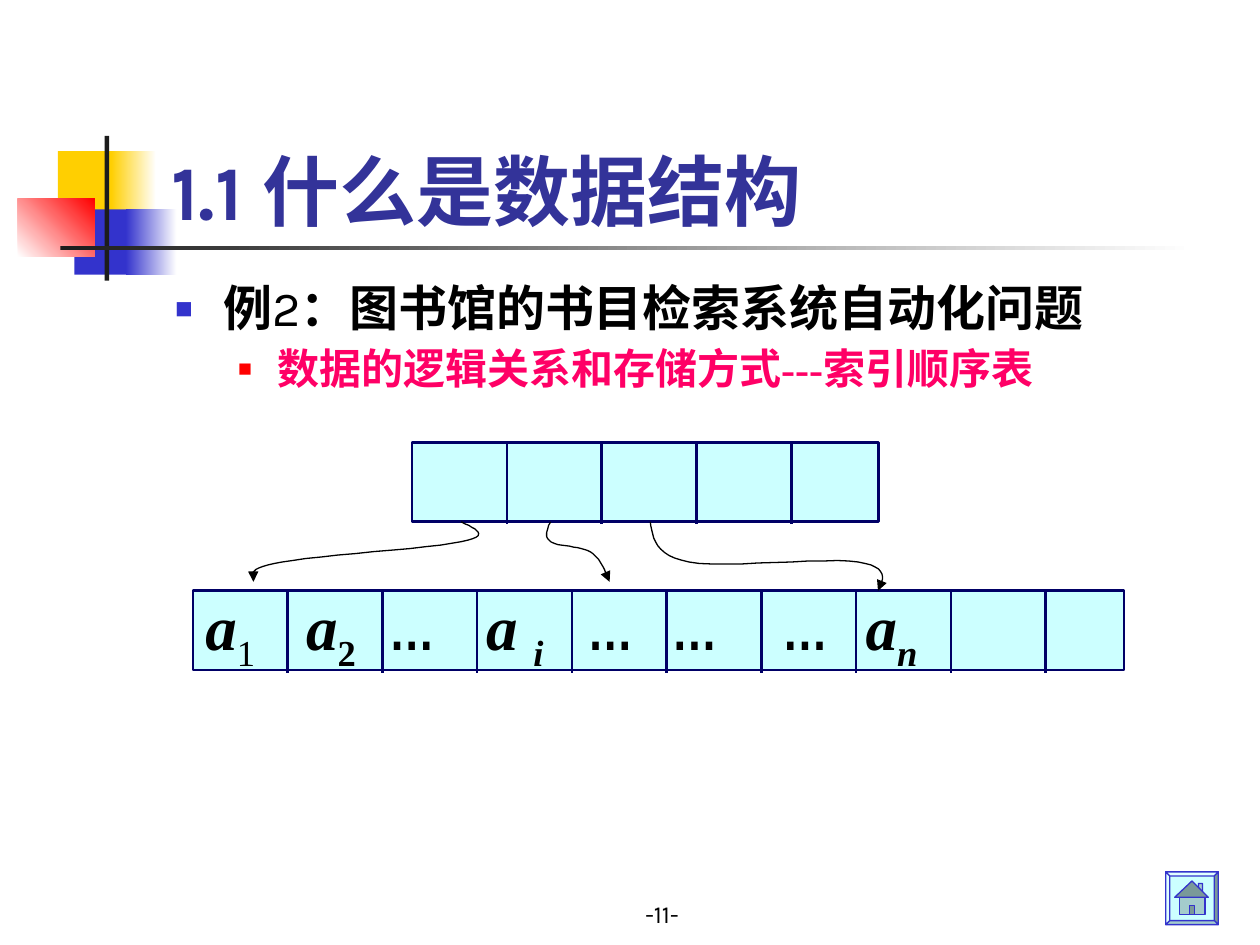
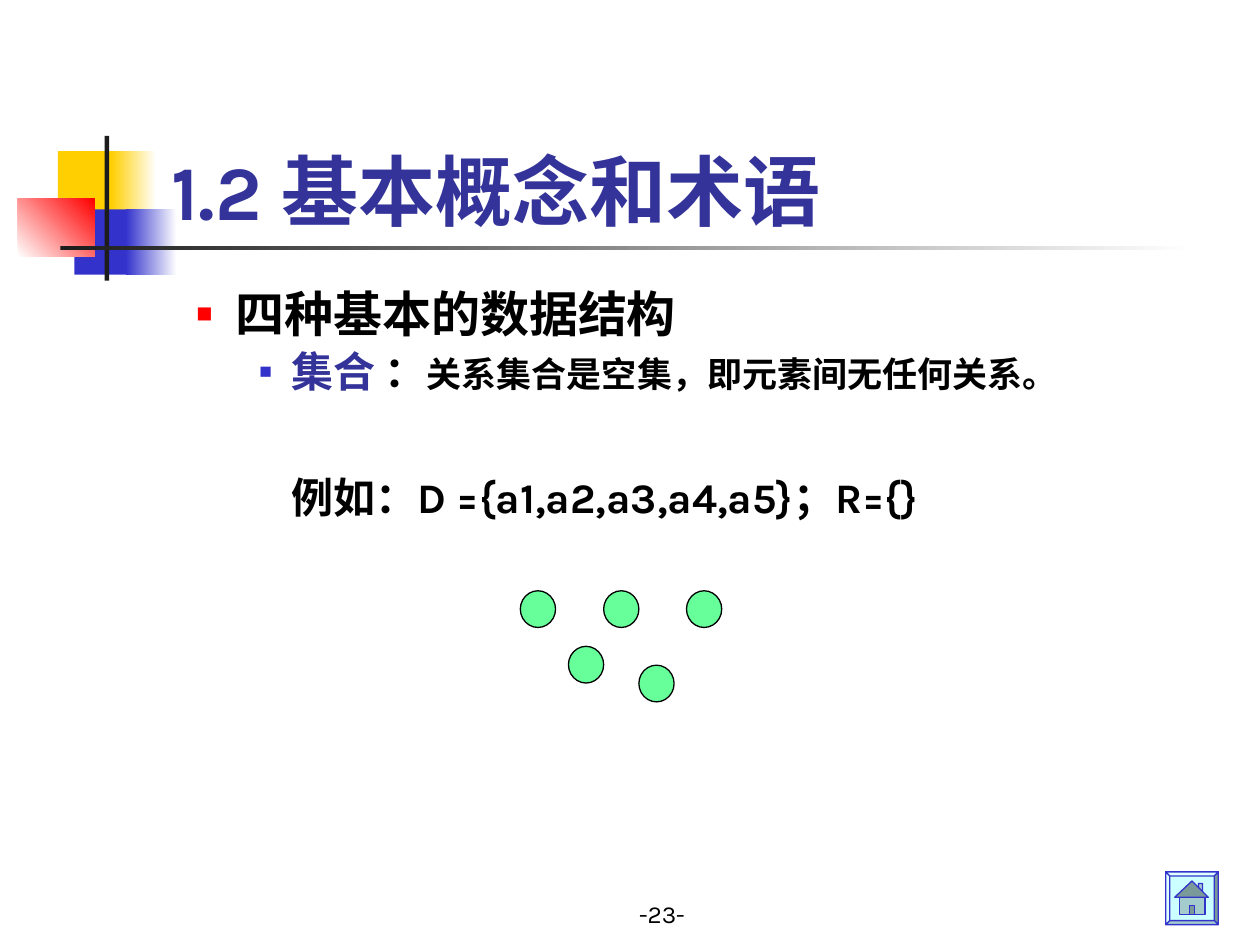
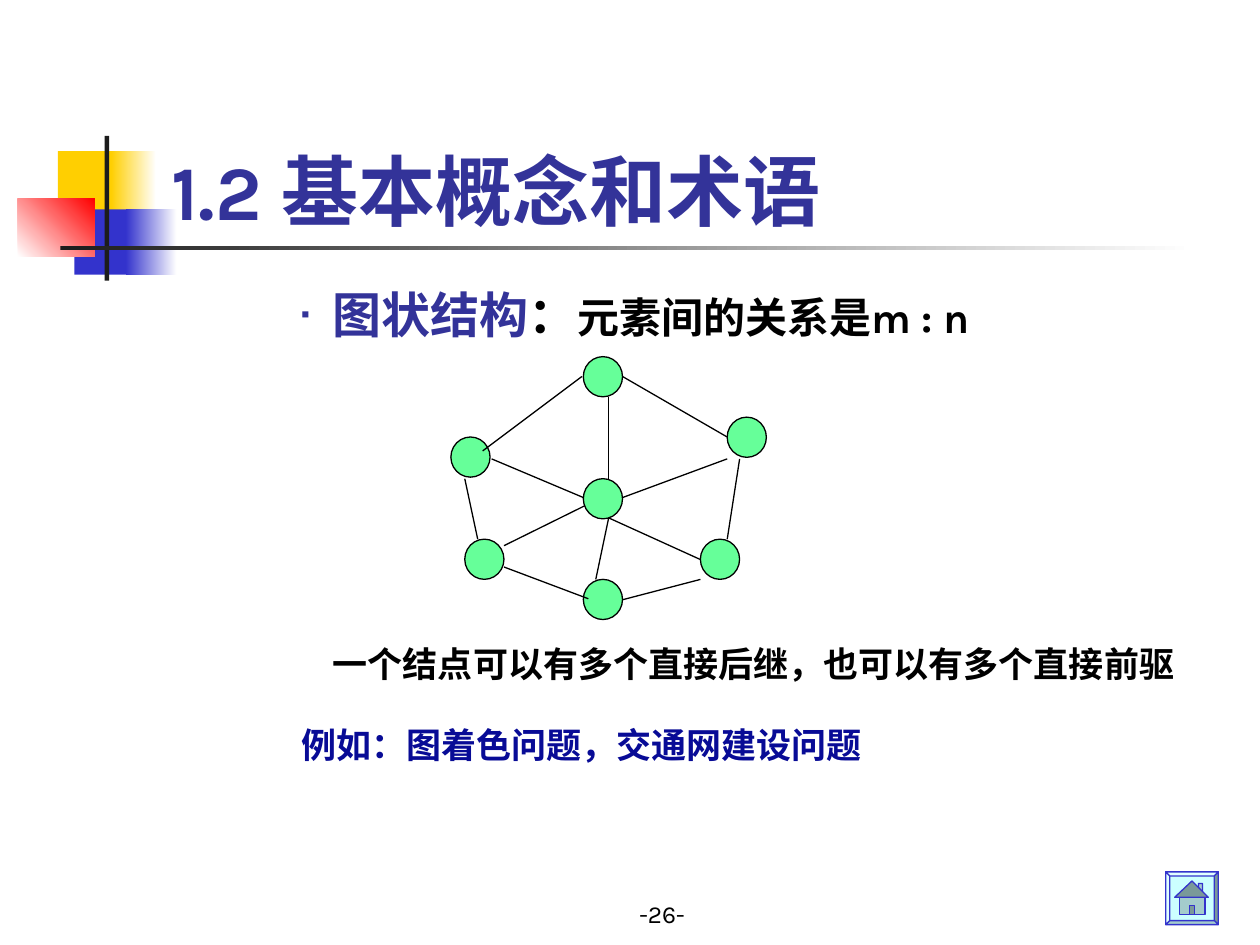
"""Build three lecture slides on data structures."""
from lxml import etree
from pptx import Presentation
from pptx import util as u
from pptx.dml.color import RGBColor
from pptx.enum import shapes, text
from pptx.oxml.ns import qn

Cm, Pt = u.Cm, u.Pt
RECT, OVAL = shapes.MSO_SHAPE.RECTANGLE, shapes.MSO_SHAPE.OVAL
LINE = shapes.MSO_CONNECTOR.STRAIGHT
HUE = {
    "white": "FFFFFF", "black": "000000", "coal": "1C1C1C", "gold": "FFCF01",
    "blue": "3333CC", "red": "FF0000", "title": "333399", "pink": "FF0066",
    "navy": "000066", "ink": "080B96", "aqua": "CCFFFF", "green": "66FF99",
    "pale": "E0FFFF", "dim": "A4CCCC", "dark": "7A9999",
}
HUE = {name: RGBColor.from_string(code) for name, code in HUE.items()}
SERIF, NARROW = "Times New Roman", "Arial Narrow"


def write(par, words, size=24, hue="black", font="Karla", bold=True, slant=False, sub=False):
    run = par.add_run()
    run.text = words
    run.font.size, run.font.name = Pt(size), font
    run.font.bold, run.font.italic = bold, slant
    run.font.color.rgb = HUE[hue]
    if sub:
        run._r.get_or_add_rPr().set("baseline", "-25000")


def paint(shape, fill=None, edge=None, width=0.74, tilt=0, arrow=False):
    if isinstance(fill, tuple):
        shape.fill.gradient()
        shape.fill.gradient_angle = tilt
        for stop, hue in zip(shape.fill.gradient_stops, fill):
            stop.color.rgb = HUE[hue]
    elif fill:
        shape.fill.solid()
        shape.fill.fore_color.rgb = HUE[fill]
    elif hasattr(shape, "fill"):
        shape.fill.background()
    if edge:
        shape.line.color.rgb = HUE[edge]
        shape.line.width = Pt(width)
    else:
        shape.line.fill.background()
    if arrow:
        etree.SubElement(shape.line._get_or_add_ln(), qn("a:tailEnd"), type="triangle")
    etree.SubElement(shape._element.spPr, qn("a:effectLst"))


blocks = [
    (1.17, 3.05, 1.22, 1.32, "gold", 0),
    (2.24, 3.05, 0.91, 1.32, ("gold", "white"), 0),
    (1.5, 4.22, 1.17, 1.32, "blue", 0),
    (2.54, 4.22, 1.02, 1.32, ("blue", "white"), 0),
    (0.36, 4.01, 1.55, 1.17, ("white", "red"), 45),
    (2.11, 2.74, 0.09, 2.92, "coal", 0),
    (1.22, 4.95, 22.86, 0.09, ("coal", "white"), 0),
]
icon = [
    ("aqua", [(0, 0), (106, 0), (106, 106), (0, 106)]),
    ("pale", [(0, 0), (106, 0), (98, 8), (8, 8)]),
    ("dark", [(106, 0), (106, 106), (98, 98), (98, 8)]),
    ("dim", [(106, 106), (0, 106), (8, 98), (98, 98)]),
    ("pale", [(0, 106), (0, 0), (8, 8), (8, 98)]),
    ("dim", [(66, 31), (66, 23), (74, 23), (74, 41)]),
    ("dark", [(53, 18), (86, 51), (18, 51)]),
    ("dim", [(28, 51), (79, 51), (79, 86), (28, 86)]),
    ("dark", [(48, 68), (58, 68), (58, 86), (48, 86)]),
]
pages = [
    (11, "1.1 什么是数据结构", 3.28, 5.61, [
        dict(level=0, left=0.97, hang=0.97, lead=0.9, gap=7, mark=("■", "blue", 60), runs=[
            ("例", dict(size=28)),
            ("2", dict(size=28, bold=False)),
            ("：", dict(size=28)),
            ("图书馆的书目检索系统自动化问题", dict(size=28, font=SERIF))]),
        dict(level=1, left=2.06, hang=0.79, lead=0.9, gap=6, mark=("■", "red", 55), runs=[
            ("数据的逻辑关系和存储方式---索引顺序表", dict(hue="pink", font=SERIF))]),
    ]),
    (23, "1.2 基本概念和术语", 2.44, 5.72, [
        dict(level=1, left=2.06, hang=0.79, lead=0.9, gap=7, mark=("■", "red", 55), runs=[
            ("四种基本的数据结构", dict(size=28))]),
        dict(level=2, left=3.18, hang=0.64, lead=0.9, gap=5, mark=("■", "blue", 50), runs=[
            ("集合 ", dict(hue="title")),
            ("：", {}),
            ("关系集合是空集，即元素间无任何关系。", dict(size=20))]),
        dict(level=2, left=3.18, hang=0, lead=0.9, gap=46, mark=None, runs=[
            ("例如：D ={a1,a2,a3,a4,a5}；R={}", {})]),
    ]),
    (26, "1.2 基本概念和术语", 3.28, 5.61, [
        dict(level=2, left=3.18, hang=0.64, lead=1, gap=0, mark=("▪", "title", 50), runs=[
            ("图状结构", dict(size=28, hue="title")),
            ("：", dict(size=28)),
            ("元素间的关系是m : n", {})]),
        dict(level=2, left=3.18, hang=0, lead=1, gap=171, mark=None, runs=[
            ("一个结点可以有多个直接后继，也可以有多个直接前驱", dict(size=20))]),
        dict(level=2, left=3.18, hang=0.64, lead=1, gap=22, mark=None, runs=[
            ("例如：图着色问题，交通网建设问题", dict(size=20, hue="ink"))]),
    ]),
]

deck = Presentation()
deck.slide_width, deck.slide_height = Cm(25.4), Cm(19.05)
trees = []
for number, title, left, top, paras in pages:
    tree = deck.slides.add_slide(deck.slide_layouts[6]).shapes
    trees.append(tree)
    for x, y, w, h, fill, tilt in blocks:
        paint(tree.add_shape(RECT, Cm(x), Cm(y), Cm(w), Cm(h)), fill, tilt=tilt)

    foot = tree.add_textbox(Cm(9.32), Cm(17.58), Cm(8.05), Cm(1.27)).text_frame
    head = tree.add_textbox(Cm(3.2), Cm(1.7), Cm(21.64), Cm(3.18)).text_frame
    body = tree.add_textbox(Cm(left), Cm(top), Cm(21.59), Cm(11.43)).text_frame
    for frame in (foot, head, body):
        frame.word_wrap = True
    foot.vertical_anchor = head.vertical_anchor = text.MSO_ANCHOR.BOTTOM
    foot.paragraphs[0].alignment = text.PP_ALIGN.CENTER
    write(foot.paragraphs[0], f"-{number}-", size=14, bold=False)
    write(head.paragraphs[0], title, size=44, hue="title")

    for i, item in enumerate(paras):
        par = body.add_paragraph() if i else body.paragraphs[0]
        par.level, par.line_spacing = item["level"], item["lead"]
        par.space_before = Pt(item["gap"])
        prop = par._p.get_or_add_pPr()
        prop.set("marL", str(Cm(item["left"])))
        prop.set("indent", str(-Cm(item["hang"])))
        if item["mark"]:
            sign, hue, size = item["mark"]
            tint = etree.SubElement(prop, qn("a:buClr"))
            etree.SubElement(tint, qn("a:srgbClr"), val=str(HUE[hue]))
            etree.SubElement(prop, qn("a:buSzPct"), val=str(size * 1000))
            etree.SubElement(prop, qn("a:buFont"), typeface="Arial")
            etree.SubElement(prop, qn("a:buChar"), char=sign)
        else:
            etree.SubElement(prop, qn("a:buNone"))
        for words, style in item["runs"]:
            write(par, words, **style)

    for fill, dots in icon:
        dots = [(2350 + x, 1758 + y) for x, y in dots]
        pen = tree.build_freeform(*dots[0], scale=Cm(0.01))
        pen.add_line_segments(dots[1:], close=True)
        paint(pen.convert_to_shape(), fill, "blue")

lists, sets, graph = trees

rows = []
for x, y, w, count in [(3.89, 11.91, 18.77, 10), (8.31, 8.92, 9.4, 5)]:
    row = lists.add_shape(RECT, Cm(x), Cm(y), Cm(w), Cm(1.6))
    paint(row, "aqua", "navy", 1.5)
    rows.append(row)
    for i in range(1, count):
        side = Cm(x + 1.91 * i)
        paint(lists.add_connector(LINE, side, Cm(y), side, Cm(y + 1.65)), edge="navy", width=1.5)

frame = rows[0].text_frame
frame.word_wrap, frame.vertical_anchor = True, text.MSO_ANCHOR.MIDDLE
par = frame.paragraphs[0]
par.alignment = text.PP_ALIGN.LEFT
stops = etree.SubElement(par._p.get_or_add_pPr(), qn("a:tabLst"))
for x in (2.03, 3.7, 5.66, 7.7, 9.4, 11.63, 13.31):
    etree.SubElement(stops, qn("a:tab"), pos=str(Cm(x)), algn="l")
big = dict(size=36, font=SERIF)
dots = dict(size=32, font=NARROW)
for words, style in [
    ("a", dict(big, slant=True)), ("1", dict(big, bold=False, sub=True)),
    ("\ta", dict(big, slant=True)), ("2", dict(big, sub=True)),
    ("\t…", dots),
    ("\ta ", dict(big, slant=True)), ("i", dict(big, slant=True, sub=True)),
    ("\t…\t…\t…", dots),
    ("\ta", dict(big, slant=True)), ("n", dict(big, slant=True, sub=True)),
]:
    write(par, words, **style)

curves = [
    [(1110, 1052), (1102, 1067), (1097, 1082), (1110, 1092), (1123, 1102),
     (1171, 1100), (1191, 1113), (1209, 1125), (1219, 1148), (1229, 1173)],
    [(1311, 1052), (1316, 1085), (1321, 1120), (1389, 1133), (1461, 1146),
     (1666, 1123), (1730, 1133), (1793, 1143), (1781, 1168), (1770, 1191)],
    [(930, 1052), (960, 1067), (991, 1080), (930, 1092), (871, 1105),
     (640, 1120), (569, 1133), (500, 1146), (505, 1156), (511, 1173)],
]
for knots in curves:
    trail = []
    for i in range(0, 9, 3):
        for step in range(1, 13):
            t = step / 12
            mix = ((1 - t) ** 3, 3 * t * (1 - t) ** 2, 3 * t * t * (1 - t), t ** 3)
            trail.append(tuple(sum(m * k[axis] for m, k in zip(mix, knots[i:i + 4]))
                               for axis in (0, 1)))
    pen = lists.build_freeform(*knots[0], scale=Cm(0.01))
    pen.add_line_segments(trail, close=False)
    paint(pen.convert_to_shape(), edge="black", arrow=True)

for x, y in [(13.84, 11.91), (10.49, 11.91), (11.46, 13.03), (12.88, 13.41), (12.17, 11.91)]:
    paint(sets.add_shape(OVAL, Cm(x), Cm(y), Cm(0.71), Cm(0.74)), "green", "black")

nodes = [(9.09, 8.81), (11.76, 9.65), (14.66, 8.41), (9.37, 10.87),
         (14.12, 10.87), (11.76, 7.19), (11.76, 11.68)]
back = [(11.86, 10.16, 10.16, 11)]
front = [
    (12.55, 7.59, 14.66, 8.81), (11.73, 7.59, 9.73, 9.09), (9.37, 9.65, 9.63, 10.87),
    (10.16, 11.43, 11.86, 12.07), (14.91, 9.25, 14.66, 10.87), (14.12, 11.68, 12.55, 12.09),
    (12.27, 8, 12.27, 9.65), (12.55, 10.03, 14.66, 9.25), (12.27, 10.44, 12.01, 11.68),
    (12.27, 10.44, 14.12, 11.28), (9.91, 9.25, 11.76, 10.03),
]
for item in back + nodes + front:
    if len(item) == 2:
        x, y = item
        paint(graph.add_shape(OVAL, Cm(x), Cm(y), Cm(0.79), Cm(0.81)), "green", "black")
    else:
        paint(graph.add_connector(LINE, *map(Cm, item)), edge="black")

deck.save("out.pptx")
